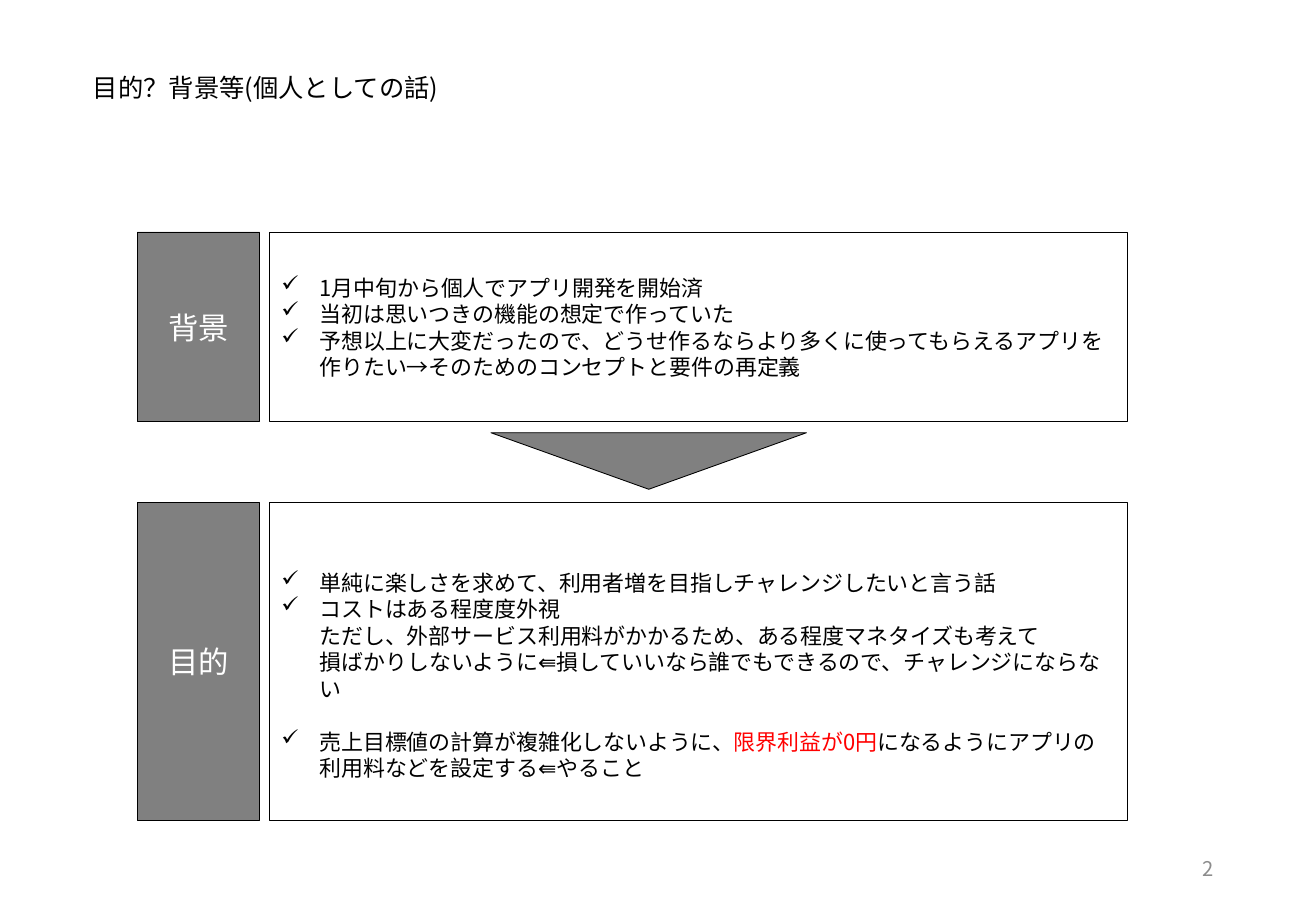
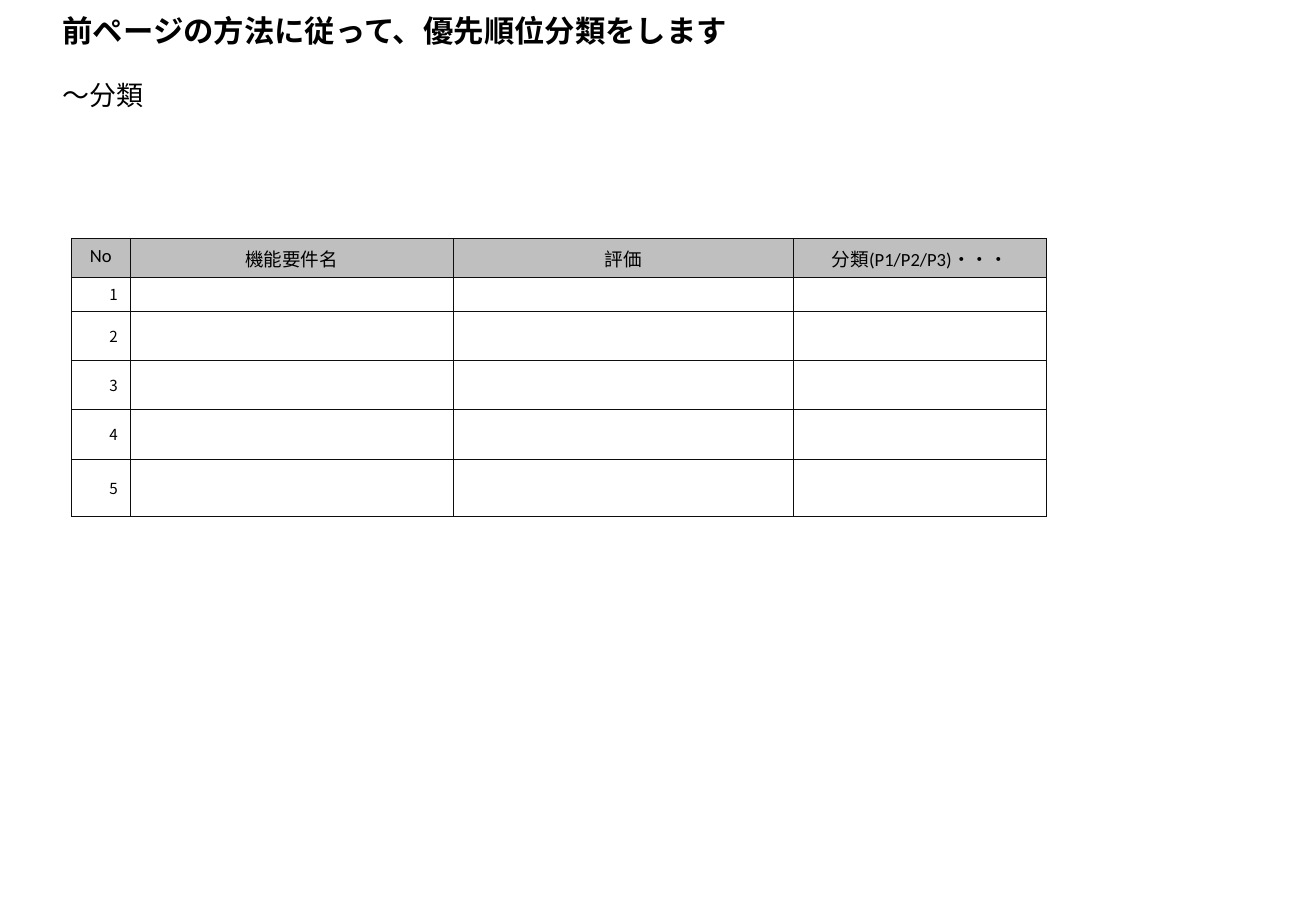
from lxml.etree import SubElement
from pptx import Presentation
from pptx.dml.color import RGBColor
from pptx.enum.shapes import MSO_SHAPE
from pptx.enum.text import MSO_ANCHOR, PP_ALIGN
from pptx.oxml import parse_xml
from pptx.oxml.ns import nsdecls, qn
from pptx.util import Pt

BLACK = RGBColor(0x00, 0x00, 0x00)
WHITE = RGBColor(0xFF, 0xFF, 0xFF)
GRAY = RGBColor(0x80, 0x80, 0x80)
PAGE_GRAY = RGBColor(0x8C, 0x8C, 0x8C)
HEADER_GRAY = RGBColor(0xBF, 0xBF, 0xBF)
BORDER = RGBColor(0x0D, 0x0D, 0x0D)
RED = RGBColor(0xFF, 0x00, 0x00)

GOTHIC = "Noto Sans CJK JP"
LATIN = "Calibri"
HAIRLINE = 0.5
LINE_PITCH = 15.7
BULLET_INDENT = 22.5
INSET = 3.6


class Slides:
    """Holds the deck, its style and the slide being drawn."""

    def __init__(self, width, height):
        self.deck = Presentation()
        self.deck.slide_width, self.deck.slide_height = Pt(width), Pt(height)
        self.page = None

    def new_page(self):
        self.page = self.deck.slides.add_slide(self.deck.slide_layouts[6])

    def span(self, para, text, size, color=BLACK, bold=False, latin=GOTHIC):
        """Add a run, with line breaks where the text has them."""
        for index, line in enumerate(text.split("\n")):
            if index:
                para.add_line_break()
            span = para.add_run()
            span.text = line
            font = span.font
            font.size, font.bold, font.name = Pt(size), bold, latin
            font.color.rgb = color
            SubElement(font._element, qn("a:ea"), typeface=GOTHIC)

    def text(self, left, top, width, height, text, size, color=BLACK,
             bold=False, align=PP_ALIGN.LEFT, spacing=1.0):
        box = self.page.shapes.add_textbox(Pt(left), Pt(top), Pt(width), Pt(height))
        frame = box.text_frame
        frame.word_wrap = True
        frame.vertical_anchor = MSO_ANCHOR.MIDDLE
        para = frame.paragraphs[0]
        para.alignment, para.line_spacing = align, spacing
        self.span(para, text, size, color, bold)

    def title(self, left, top, width, height, text, size, bold=False):
        self.text(left, top, width, height, text, size, bold=bold, spacing=0.9)

    def shape(self, kind, left, top, width, height, fill=None):
        shape = self.page.shapes.add_shape(
            kind, Pt(left), Pt(top), Pt(width), Pt(height))
        shape.shadow.inherit = False
        if fill is None:
            shape.fill.background()
        else:
            shape.fill.solid()
            shape.fill.fore_color.rgb = fill
        shape.line.color.rgb = BLACK
        shape.line.width = Pt(HAIRLINE)
        shape.text_frame.word_wrap = True
        shape.text_frame.vertical_anchor = MSO_ANCHOR.MIDDLE
        return shape

    def label(self, left, top, width, height, text):
        box = self.shape(MSO_SHAPE.RECTANGLE, left, top, width, height, GRAY)
        para = box.text_frame.paragraphs[0]
        para.alignment = PP_ALIGN.CENTER
        self.span(para, text, 18, WHITE)

    def checklist(self, left, top, width, height, items, lead=0):
        """Draw a framed list; each item is (space before, runs)."""
        box = self.shape(MSO_SHAPE.RECTANGLE, left, top, width, height)
        frame = box.text_frame
        frame.margin_top = Pt(INSET + lead)
        for index, (gap, runs) in enumerate(items):
            para = frame.add_paragraph() if index else frame.paragraphs[0]
            para.alignment = PP_ALIGN.LEFT
            para.line_spacing, para.space_before = Pt(LINE_PITCH), Pt(gap)
            properties = para._p.get_or_add_pPr()
            properties.set("marL", str(Pt(BULLET_INDENT)))
            properties.set("indent", str(-Pt(BULLET_INDENT)))
            SubElement(properties, qn("a:buChar"), char="✓")
            for text, color in runs:
                self.span(para, text, 13, color)

    def cell(self, cell, text, size, fill, align, anchor, latin):
        cell.fill.solid()
        cell.fill.fore_color.rgb = fill
        cell.vertical_anchor = anchor
        para = cell.text_frame.paragraphs[0]
        para.alignment = align
        if text:
            self.span(para, text, size, latin=latin)
        else:
            SubElement(para._p, qn("a:endParaRPr"), sz=str(size * 100))
        properties = cell._tc.get_or_add_tcPr()
        for index, side in enumerate("LRTB"):
            properties.insert(index, parse_xml(
                f'<a:ln{side} {nsdecls("a")} w="{Pt(HAIRLINE)}"><a:solidFill>'
                f'<a:srgbClr val="{BORDER}"/></a:solidFill></a:ln{side}>'))

    def table(self, left, top, widths, heights, rows):
        """Draw a table with a header row and right-aligned numbers."""
        table = self.page.shapes.add_table(
            len(heights), len(widths), Pt(left), Pt(top),
            Pt(sum(widths)), Pt(sum(heights))).table
        table.first_row = table.horz_banding = False
        for column, width in zip(table.columns, widths):
            column.width = Pt(width)
        header = (11, HEADER_GRAY, PP_ALIGN.CENTER, MSO_ANCHOR.TOP, LATIN)
        body = (9, WHITE, PP_ALIGN.RIGHT, MSO_ANCHOR.MIDDLE, GOTHIC)
        for index, (row, height, texts) in enumerate(zip(table.rows, heights, rows)):
            row.height = Pt(height)
            for cell, text in zip(row.cells, texts):
                self.cell(cell, text, *(body if index else header))


def purpose_page(slides):
    slides.new_page()
    slides.title(48, 29, 300, 47.5, "目的？背景等(個人としての話)", 15)
    slides.text(551, 500.5, 175.5, 28.75, "2", 12, PAGE_GRAY, align=PP_ALIGN.RIGHT)
    background = [
        (0, [("1月中旬から個人でアプリ開発を開始済", BLACK)]),
        (0, [("当初は思いつきの機能の想定で作っていた", BLACK)]),
        (0, [("予想以上に大変だったので、どうせ作るならより多くに使ってもらえるアプリを"
              "作りたい→そのためのコンセプトと要件の再定義", BLACK)]),
    ]
    purpose = [
        (0, [("単純に楽しさを求めて、利用者増を目指しチャレンジしたいと言う話", BLACK)]),
        (0, [("コストはある程度度外視\n"
              "ただし、外部サービス利用料がかかるため、ある程度マネタイズも考えて\n"
              "損ばかりしないように⇚損していいなら誰でもできるので、"
              "チャレンジにならない", BLACK)]),
        (LINE_PITCH, [("売上目標値の計算が複雑化しないように、", BLACK),
                      ("限界利益が0円", RED),
                      ("になるようにアプリの利用料などを設定する⇚やること", BLACK)]),
    ]
    for name, top, height, items, lead in (
            ("背景", 137.5, 112.5, background, 0),
            ("目的", 298, 188.5, purpose, LINE_PITCH)):
        slides.label(81.5, top, 72.5, height, name)
        slides.checklist(159.75, top, 508.5, height, items, lead)
    arrow = slides.shape(MSO_SHAPE.ISOSCELES_TRIANGLE, 291, 256.5, 187, 33.5, GRAY)
    arrow.rotation = 180


def priority_page(slides):
    slides.new_page()
    slides.title(30, 39.5, 672.5, 36, "～分類", 16)
    slides.title(30, -0.75, 672.5, 40.25,
                 "前ページの方法に従って、優先順位分類をします", 18, bold=True)
    headings = ("No", "機能要件名", "評価", "分類(P1/P2/P3)・・・")
    numbered = [(str(number), "", "", "") for number in range(1, 6)]
    slides.table(42.5, 141.25, (34.5, 191.75, 201.5, 150),
                 (23, 20.2, 29.25, 29.25, 29.25, 33.75), [headings, *numbered])


def main():
    slides = Slides(780, 540)
    purpose_page(slides)
    priority_page(slides)
    slides.deck.save("out.pptx")


if __name__ == "__main__":
    main()
